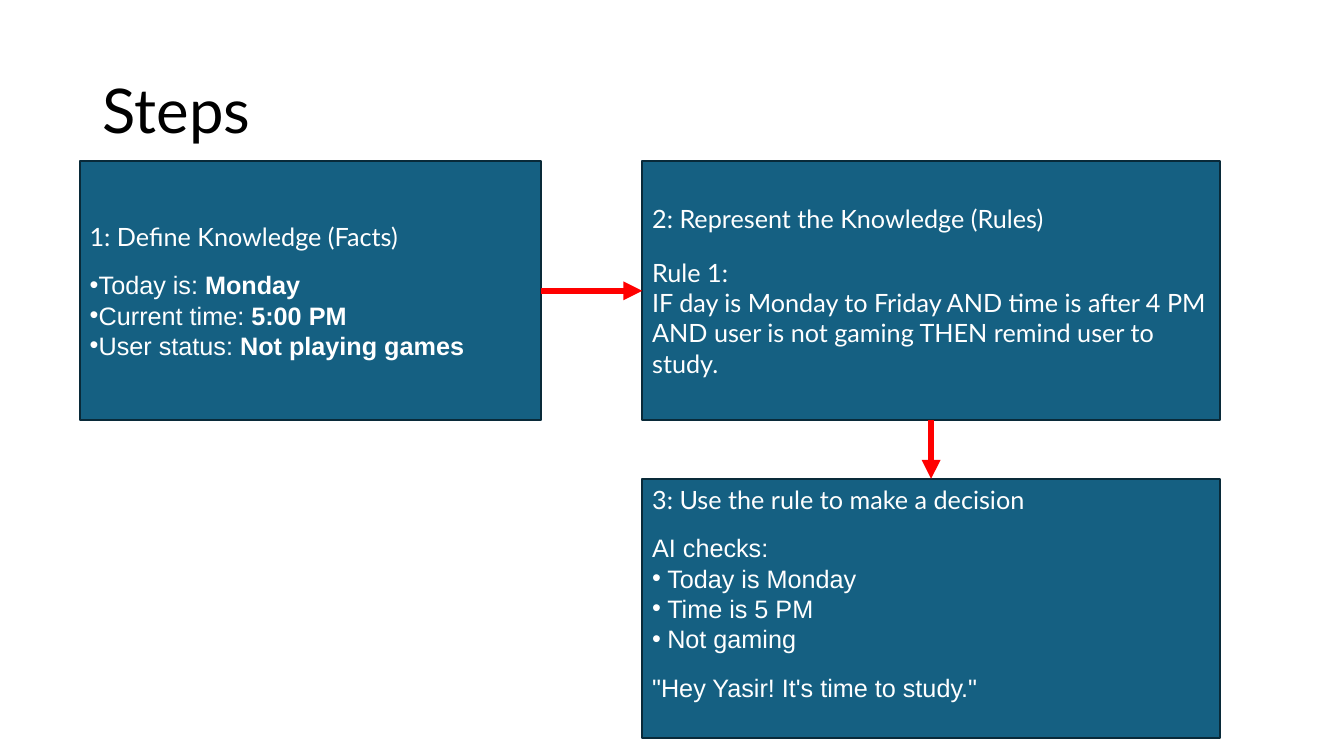
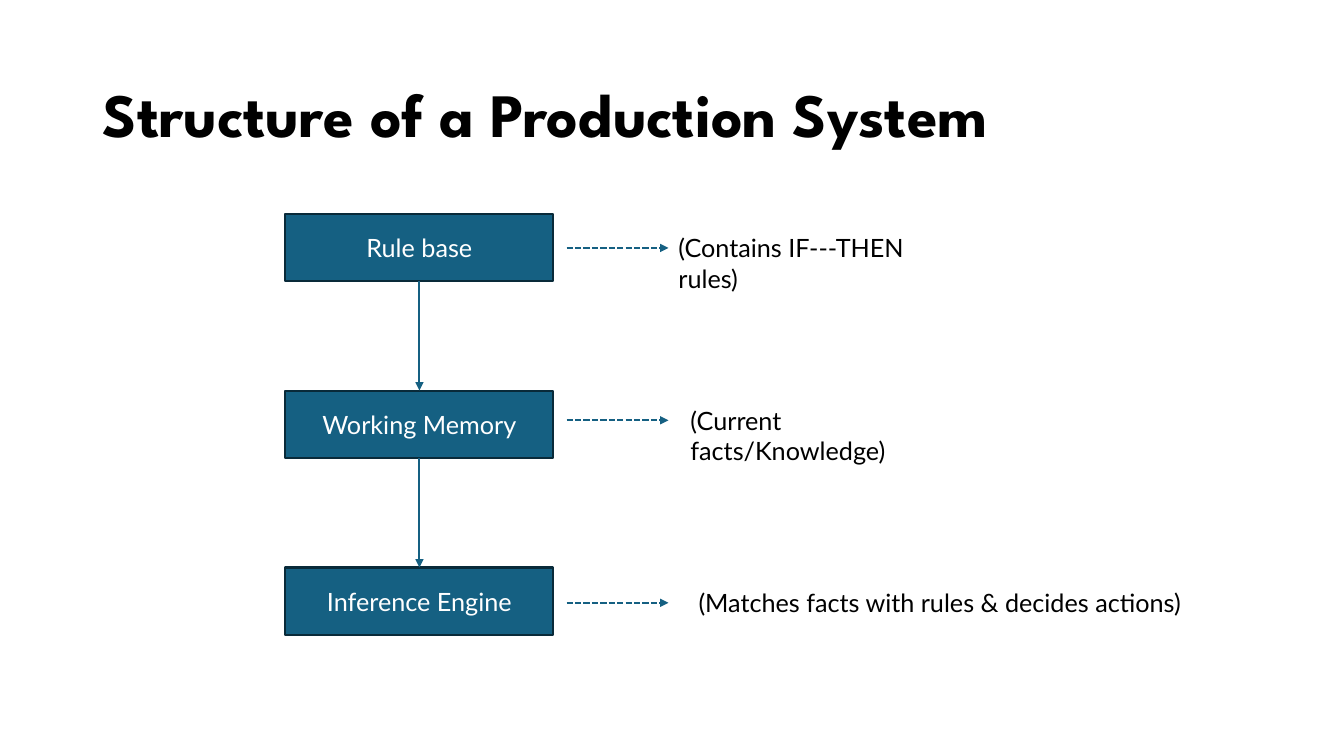
from dataclasses import dataclass

from lxml import etree
from pptx import Presentation
from pptx.dml.color import RGBColor
from pptx.enum import dml, shapes, text
from pptx.oxml import ns
from pptx.util import Inches, Pt

BLACK = RGBColor(0, 0, 0)
WHITE = RGBColor(0xFF, 0xFF, 0xFF)
TEAL = RGBColor(0x15, 0x60, 0x82)
NAVY = RGBColor(0x09, 0x2A, 0x39)
RED = RGBColor(0xFF, 0, 0)
BODY_FONT = "Lato"
LIST_FONT = "Arial"
TITLE_FONT = "League Spartan"
BODY_SIZE = 18
TITLE_SIZE = 44
TOP, LEFT, BOTTOM, RIGHT = range(4)


@dataclass
class Line:
    runs: tuple
    font: str = BODY_FONT
    before: float = 0
    hang: float = 0


def style_font(font, name, size, color, bold=False):
    font.name = name
    font.size = Pt(size)
    font.color.rgb = color
    font.bold = bold


def add_bullet(paragraph, hang):
    props = paragraph._p.get_or_add_pPr()
    props.set("marL", str(Inches(hang)))
    props.set("indent", str(-Inches(hang)))
    etree.SubElement(props, ns.qn("a:buFont"), typeface=LIST_FONT)
    etree.SubElement(props, ns.qn("a:buChar"), char="•")


def write_lines(frame, lines, color, align=text.PP_ALIGN.LEFT):
    frame.word_wrap = True
    for number, line in enumerate(lines):
        paragraph = frame.add_paragraph() if number else frame.paragraphs[0]
        paragraph.alignment = align
        if line.before:
            paragraph.space_before = Pt(line.before)
        if line.hang:
            add_bullet(paragraph, line.hang)
        for words, bold in line.runs:
            run = paragraph.add_run()
            run.text = words
            style_font(run.font, line.font, BODY_SIZE, color, bold)


def plain(words, **settings):
    return Line(((words, False),), **settings)


def add_titled_slide(deck, words, box, font, bold=False, spacing=1.0):
    slide = deck.slides.add_slide(deck.slide_layouts[5])
    title = slide.shapes.title
    title.left, title.top, title.width, title.height = map(Inches, box)
    frame = title.text_frame
    frame.word_wrap = True
    frame.auto_size = text.MSO_AUTO_SIZE.NONE
    frame.vertical_anchor = text.MSO_ANCHOR.MIDDLE
    paragraph = frame.paragraphs[0]
    paragraph.alignment = text.PP_ALIGN.LEFT
    paragraph.line_spacing = spacing
    run = paragraph.add_run()
    run.text = words
    style_font(run.font, font, TITLE_SIZE, BLACK, bold)
    return slide


def add_panel(slide, box, lines, align=text.PP_ALIGN.LEFT, bottom=0.05):
    panel = slide.shapes.add_shape(shapes.MSO_SHAPE.RECTANGLE, *map(Inches, box))
    panel.shadow.inherit = False
    panel.fill.solid()
    panel.fill.fore_color.rgb = TEAL
    panel.line.color.rgb = NAVY
    panel.line.width = Pt(1.5)
    frame = panel.text_frame
    frame.vertical_anchor = text.MSO_ANCHOR.MIDDLE
    frame.margin_bottom = Inches(bottom)
    write_lines(frame, lines, WHITE, align)
    return panel


def add_arrow(slide, start, end, color, width, dashed=False):
    arrow = slide.shapes.add_connector(
        shapes.MSO_CONNECTOR.STRAIGHT, *map(Inches, start + end))
    arrow.line.color.rgb = color
    arrow.line.width = Pt(width)
    if dashed:
        arrow.line.dash_style = dml.MSO_LINE.SQUARE_DOT
    props = arrow.element.spPr
    etree.SubElement(props.find(ns.qn("a:ln")), ns.qn("a:tailEnd"), type="triangle")
    etree.SubElement(props, ns.qn("a:effectLst"))
    return arrow


def link_panels(slide, source, source_side, target, target_side, color, width):
    arrow = add_arrow(slide, (0, 0), (1, 1), color, width)
    arrow.begin_connect(source, source_side)
    arrow.end_connect(target, target_side)


def add_note(slide, box, words):
    note = slide.shapes.add_textbox(*map(Inches, box))
    write_lines(note.text_frame, [plain(words)], BLACK)


def build_steps(deck):
    slide = add_titled_slide(
        deck, "Steps", (0.92, 0.4, 11.5, 1.45), BODY_FONT, spacing=0.9)
    left, right, top, height, wide = 0.79, 6.37, 1.6, 2.57, 5.73
    row_gap = 0.58
    status = [("Today is: ", "Monday"), ("Current time: ", "5:00 PM"),
              ("User status: ", "Not playing games")]
    facts = add_panel(slide, (left, top, 4.58, height), [
        plain("1: Define Knowledge (Facts)"),
        *(Line(((label, False), (value, True)), LIST_FONT, 0 if number else 13, 0.09)
          for number, (label, value) in enumerate(status)),
    ])
    rules = add_panel(slide, (right, top, wide, height), [
        plain("2: Represent the Knowledge (Rules)"),
        plain("Rule 1:", before=17),
        plain("IF day is Monday to Friday AND time is after 4 PM AND user "
              "is not gaming THEN remind user to study."),
    ])
    checks = ["Today is Monday", "Time is 5 PM", "Not gaming"]
    decision = add_panel(slide, (right, top + height + row_gap, wide, height), [
        plain("3: Use the rule to make a decision"),
        plain("AI checks:", font=LIST_FONT, before=13),
        *(plain(check, font=LIST_FONT, hang=0.15) for check in checks),
        plain("\"Hey Yasir! It's time to study.\"", font=LIST_FONT, before=13),
    ], bottom=0.35)
    link_panels(slide, facts, RIGHT, rules, LEFT, RED, 4.5)
    link_panels(slide, rules, BOTTOM, decision, TOP, RED, 4.5)


def add_components(slide, box, names):
    left, top, width, height = box
    panel_height = 0.67
    pitch = (height - panel_height) / (len(names) - 1)
    panels = [
        add_panel(slide, (left, top + number * pitch, width, panel_height),
                  [plain(name)], text.PP_ALIGN.CENTER)
        for number, name in enumerate(names)]
    for upper, lower in zip(panels, panels[1:]):
        link_panels(slide, upper, BOTTOM, lower, TOP, TEAL, 1.5)


def add_explanations(slide, left, explanations):
    arrow_length = 1.01
    for middle, note_left, note_width, words in explanations:
        add_arrow(slide, (left, middle), (left + arrow_length, middle),
                  TEAL, 1.5, dashed=True)
        add_note(slide, (note_left, middle - 0.2, note_width, 0.4), words)


def build_structure(deck):
    slide = add_titled_slide(
        deck, "Structure of a Production System", (0.92, 0.7, 9.73, 0.84),
        TITLE_FONT, bold=True)
    add_components(slide, (2.83, 2.12, 2.66, 4.18),
                   ["Rule base", "Working Memory", "Inference Engine"])
    add_explanations(slide, 5.62, [
        (2.46, 6.63, 3, "(Contains IF---THEN rules)"),
        (4.17, 6.75, 3, "(Current facts/Knowledge)"),
        (5.98, 6.83, 5.2, "(Matches facts with rules & decides actions)"),
    ])


def main():
    deck = Presentation()
    deck.slide_width = Inches(13.33)
    deck.slide_height = Inches(7.5)
    build_steps(deck)
    build_structure(deck)
    deck.save("out.pptx")


if __name__ == "__main__":
    main()
